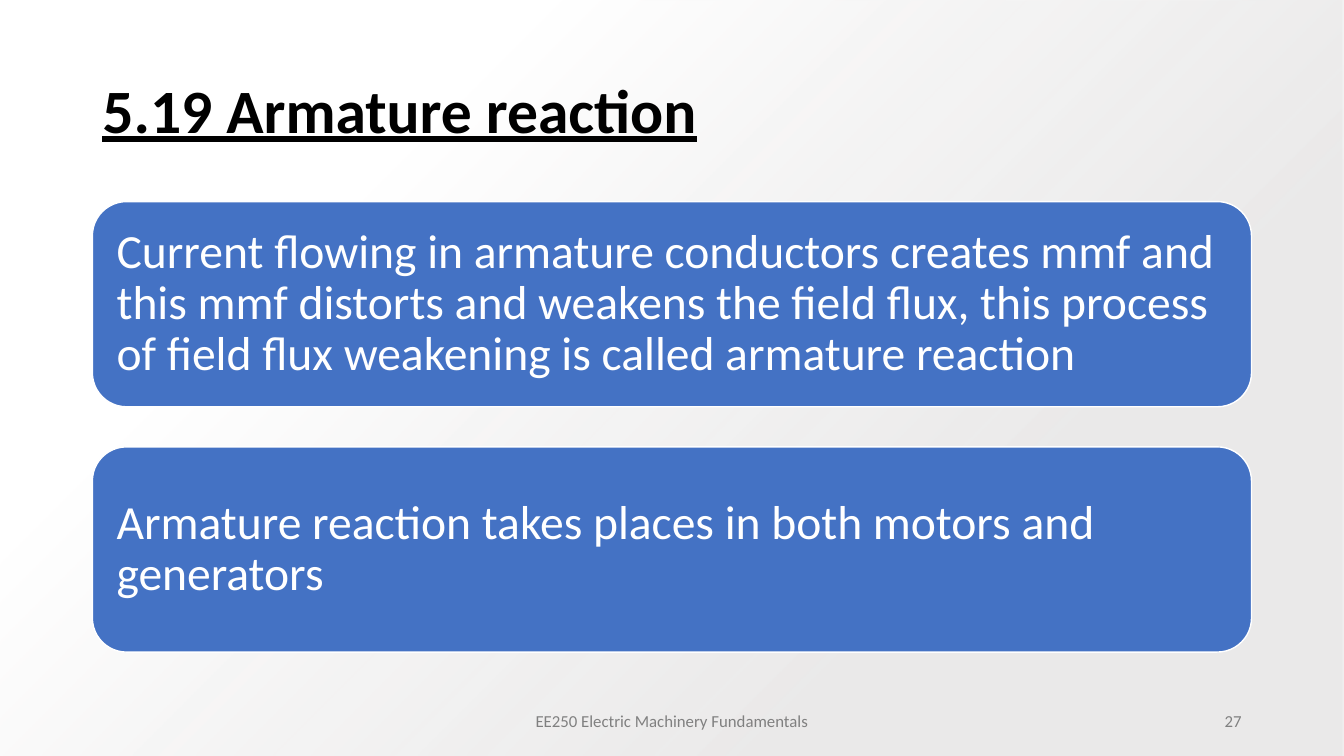
from pptx import Presentation
from pptx.dml.color import RGBColor
from pptx.enum import shapes, text
from pptx.oxml import parse_xml
from pptx.util import Pt

WIDTH, HEIGHT = 960, 540
LEFT, CONTENT_WIDTH = 66, 828
STATEMENTS = [
    "Current flowing in armature conductors creates mmf and this mmf distorts "
    "and weakens the field flux, this process of field flux weakening is "
    "called armature reaction",
    "Armature reaction takes places in both motors and generators",
]
CORNER_GRADIENT = """
<a:gradFill xmlns:a="http://schemas.openxmlformats.org/drawingml/2006/main" rotWithShape="1">
  <a:gsLst>
    <a:gs pos="28000"><a:srgbClr val="E7E6E6"><a:alpha val="84000"/></a:srgbClr></a:gs>
    <a:gs pos="74000"><a:srgbClr val="FFFFFF"/></a:gs>
  </a:gsLst>
  <a:path path="circle"><a:fillToRect l="100000" t="100000"/></a:path>
  <a:tileRect r="-100000" b="-100000"/>
</a:gradFill>
"""


def color(value):
    return RGBColor.from_string(value)


def write(frame, words, size, ink, align=text.PP_ALIGN.LEFT, spacing=1.0):
    frame.text = words
    frame.word_wrap = True
    frame.auto_size = text.MSO_AUTO_SIZE.NONE
    frame.vertical_anchor = text.MSO_ANCHOR.MIDDLE
    paragraph = frame.paragraphs[0]
    paragraph.alignment = align
    paragraph.line_spacing = spacing
    font = paragraph.runs[0].font
    font.name = "Calibri"
    font.size = Pt(size)
    font.color.rgb = color(ink)
    return font


def add_backdrop(slide):
    backdrop = slide.shapes.add_shape(
        shapes.MSO_SHAPE.RECTANGLE, 0, 0, Pt(WIDTH), Pt(HEIGHT))
    backdrop.shadow.inherit = False
    backdrop.line.fill.background()
    backdrop.fill.solid()
    properties = backdrop.element.spPr
    properties.replace(properties.solidFill, parse_xml(CORNER_GRADIENT))
    slide.shapes.title.element.addprevious(backdrop.element)


def add_heading(slide, left, top, width, height):
    heading = slide.shapes.title
    heading.left, heading.top = Pt(left), Pt(top)
    heading.width, heading.height = Pt(width), Pt(height)
    font = write(heading.text_frame, "5.19 Armature reaction", 44, "000000", spacing=0.9)
    font.bold = True
    font.underline = True


def add_statements(slide, left, top, width, height, gap):
    panel_height = (height - gap * (len(STATEMENTS) - 1)) / len(STATEMENTS)
    for index, statement in enumerate(STATEMENTS):
        panel = slide.shapes.add_shape(
            shapes.MSO_SHAPE.ROUNDED_RECTANGLE,
            Pt(left), Pt(top + index * (panel_height + gap)), Pt(width), Pt(panel_height))
        panel.shadow.inherit = False
        panel.fill.solid()
        panel.fill.fore_color.rgb = color("4472C4")
        panel.line.color.rgb = color("FFFFFF")
        panel.line.width = Pt(1)
        frame = panel.text_frame
        frame.margin_left = frame.margin_right = Pt(10.2)
        frame.margin_top = frame.margin_bottom = Pt(10.2)
        write(frame, statement, 34, "FFFFFF", spacing=0.9)


def add_footer(slide, left, top, width, height):
    right = left + width
    course_width, number_width = 324, 216
    entries = [
        ("EE250 Electric Machinery Fundamentals",
         left + (width - course_width) / 2, course_width, text.PP_ALIGN.CENTER),
        ("27", right - number_width, number_width, text.PP_ALIGN.RIGHT),
    ]
    for words, entry_left, entry_width, align in entries:
        entry = slide.shapes.add_textbox(
            Pt(entry_left), Pt(top), Pt(entry_width), Pt(height))
        write(entry.text_frame, words, 12, "808080", align)


def main():
    deck = Presentation()
    deck.slide_width, deck.slide_height = Pt(WIDTH), Pt(HEIGHT)
    slide = deck.slides.add_slide(deck.slide_layouts[5])
    add_backdrop(slide)
    add_heading(slide, LEFT, 28.75, CONTENT_WIDTH, 104.4)
    add_footer(slide, LEFT, 500.5, CONTENT_WIDTH, 28.75)
    add_statements(slide, LEFT, 144, CONTENT_WIDTH, 321.8, 28.6)
    deck.save("out.pptx")


if __name__ == "__main__":
    main()
